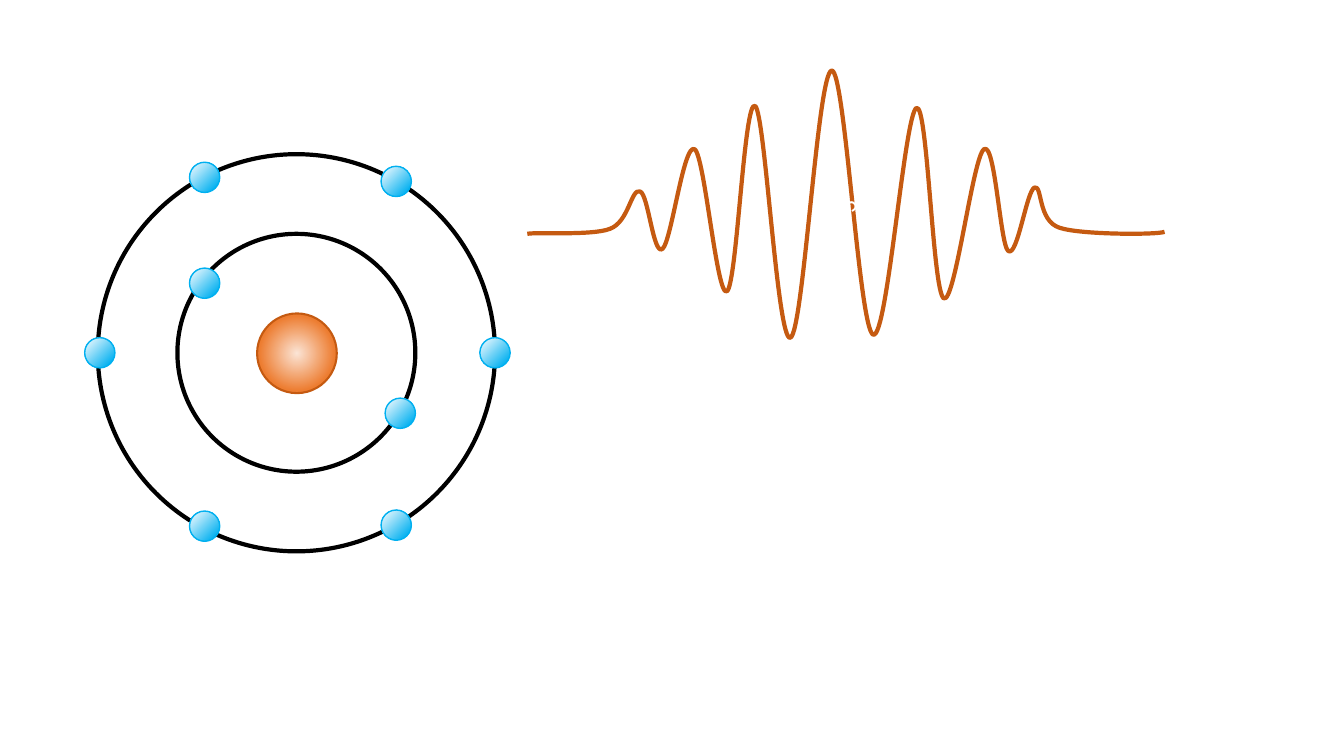
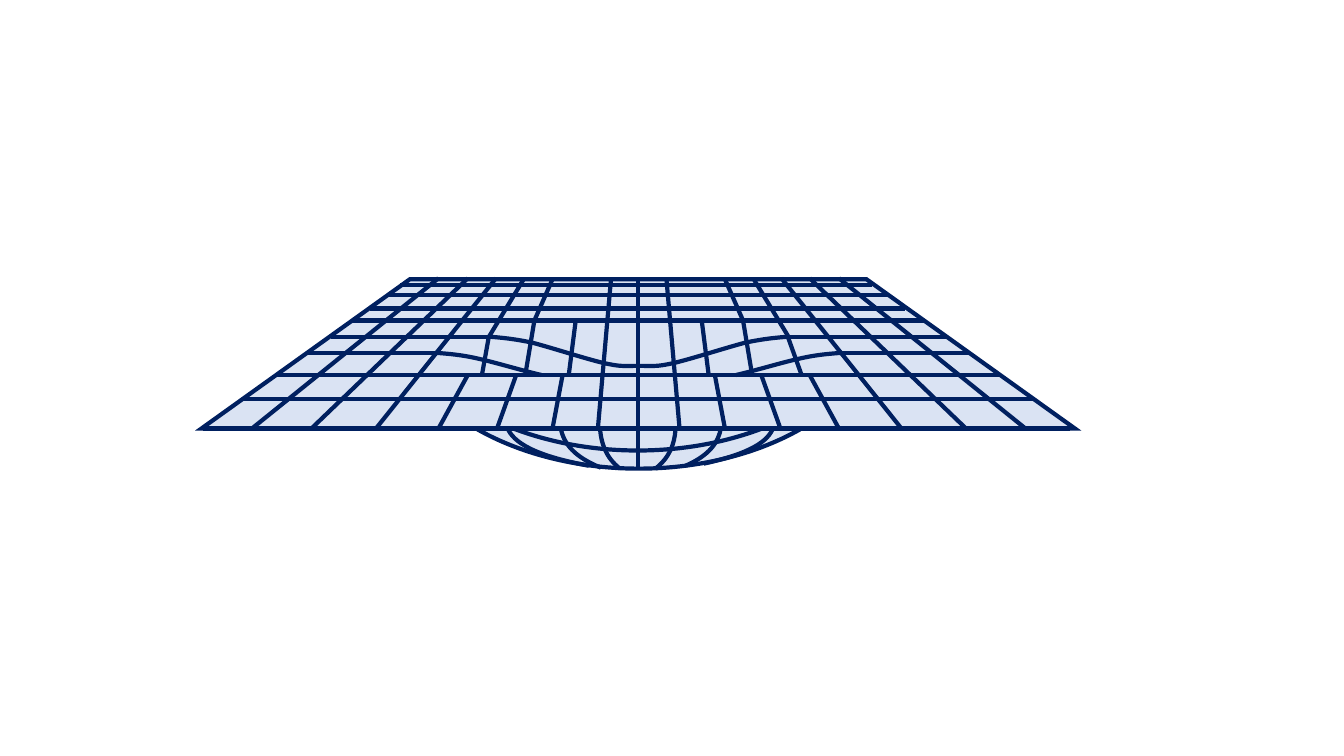
from lxml.etree import SubElement
from pptx import Presentation
from pptx.dml.color import RGBColor
from pptx.enum.shapes import MSO_CONNECTOR, MSO_SHAPE
from pptx.enum.text import MSO_ANCHOR, PP_ALIGN
from pptx.oxml.ns import qn
from pptx.util import Inches, Pt

BLACK, WHITE, ORANGE = "000000", "FFFFFF", "C55A11"
NAVY, PALE_BLUE, SKY_BLUE = "002060", "DAE3F3", "00B0F0"
MIRROR_SUM = 12.67  # x of a point plus x of its mirror image in the mesh


def outline(shape, color, width=3):
    """Set the line of a shape or connector and switch its shadow off."""
    shape.line.color.rgb = RGBColor.from_string(color)
    shape.line.width = Pt(width)
    SubElement(shape.element.spPr, qn("a:effectLst"))


def add_curve(shapes, points, color):
    """Draw a cubic Bezier chain: a start, then three points per segment."""
    points = [(Inches(x), Inches(y)) for x, y in points]
    builder = shapes.build_freeform(*points[0])
    builder.add_line_segments(points[1:], close=False)
    curve = builder.convert_to_shape()
    corners = curve.element.xpath(".//a:lnTo")
    for first in range(0, len(corners), 3):
        segment = SubElement(corners[first].getparent(), qn("a:cubicBezTo"))
        for corner in corners[first:first + 3]:
            segment.append(corner[0])
            corner.getparent().remove(corner)
    curve.fill.background()
    outline(curve, color)
    return curve


presentation = Presentation()
presentation.slide_width = Inches(13.33)
presentation.slide_height = Inches(7.5)
blank_layout = presentation.slide_layouts[6]

# Slide 1: atom and wave packet
slide = presentation.slides.add_slide(blank_layout)
atom = slide.shapes.add_group_shape().shapes
center_x, center_y = 2.94, 3.5
for diameter in (3.94, 2.36):
    orbit = atom.add_shape(
        MSO_SHAPE.OVAL, Inches(center_x - diameter / 2), Inches(center_y - diameter / 2),
        Inches(diameter), Inches(diameter))
    orbit.fill.background()
    outline(orbit, BLACK)

nucleus = (2.55, 3.11, 0.79, ("FBE5D6", "ED7D31"), 0.67, ORANGE, 1.5, (50, 50, 50, 50))
electron_corners = [(1.88, 2.66), (3.82, 3.95), (3.78, 1.65), (0.84, 3.35),
                    (4.76, 3.35), (3.78, 5.06), (1.88, 5.07), (1.88, 1.61)]
electrons = [(left, top, 0.3, (WHITE, SKY_BLUE), 0.87, SKY_BLUE, 1, (0, 0, 100, 100))
             for left, top in electron_corners]
for left, top, size, colors, end, line_color, width, focus in [nucleus, *electrons]:
    particle = atom.add_shape(
        MSO_SHAPE.OVAL, Inches(left), Inches(top), Inches(size), Inches(size))
    outline(particle, line_color, width)
    particle.fill.gradient()
    for stop, color, position in zip(particle.fill.gradient_stops, colors, (0, end)):
        stop.color.rgb = RGBColor.from_string(color)
        stop.position = position
    gradient = particle.element.spPr.find(qn("a:gradFill"))
    gradient.remove(gradient.find(qn("a:lin")))
    radial = SubElement(gradient, qn("a:path"), {"path": "circle"})
    SubElement(radial, qn("a:fillToRect"),
               {side: str(percent * 1000) for side, percent in zip("ltrb", focus)})

wave = add_curve(slide.shapes, [
    (5.23, 2.32),
    (5.31, 2.3), (5.87, 2.34), (6.05, 2.27),
    (6.24, 2.2), (6.26, 1.86), (6.35, 1.9),
    (6.43, 1.93), (6.48, 2.54), (6.57, 2.47),
    (6.66, 2.4), (6.78, 1.41), (6.89, 1.48),
    (6.99, 1.55), (7.11, 2.96), (7.21, 2.89),
    (7.31, 2.82), (7.38, 0.97), (7.49, 1.05),
    (7.59, 1.13), (7.71, 3.41), (7.84, 3.35),
    (7.97, 3.29), (8.11, 0.7), (8.25, 0.7),
    (8.38, 0.69), (8.52, 3.26), (8.66, 3.32),
    (8.8, 3.38), (8.97, 1.13), (9.09, 1.07),
    (9.2, 1.01), (9.25, 2.89), (9.36, 2.96),
    (9.47, 3.03), (9.65, 1.55), (9.76, 1.48),
    (9.87, 1.4), (9.92, 2.43), (10, 2.49),
    (10.09, 2.56), (10.18, 1.9), (10.26, 1.86),
    (10.34, 1.83), (10.29, 2.19), (10.51, 2.26),
    (10.72, 2.33), (11.48, 2.33), (11.55, 2.3),
], ORANGE)
text_frame = wave.text_frame
text_frame.text = "3"
text_frame.vertical_anchor = MSO_ANCHOR.MIDDLE
wave.element.txBody.bodyPr.set("vert", "vert270")
paragraph = text_frame.paragraphs[0]
paragraph.alignment = PP_ALIGN.CENTER
paragraph.font.name = "Calibri"
paragraph.font.size = Pt(18)
paragraph.font.color.rgb = RGBColor.from_string(WHITE)

# Slide 2: mesh sagging in the middle
slide = presentation.slides.add_slide(blank_layout)
mesh = slide.shapes.add_group_shape().shapes
sheet_and_bowl = [
    (MSO_SHAPE.TRAPEZOID, (2, 2.77, 8.66, 1.48), (1.396,), PALE_BLUE),
    (MSO_SHAPE.ARC, (3.89, 1.45, 4.89, 3.2), (22.264, 85.972), PALE_BLUE),
    (MSO_SHAPE.ARC, (3.88, 1.27, 4.89, 3.2), (28.906, 79.31), None),
]
for kind, box, adjustments, fill_color in sheet_and_bowl:
    surface = mesh.add_shape(kind, *[Inches(length) for length in box])
    for index, value in enumerate(adjustments):
        surface.adjustments[index] = value
    outline(surface, NAVY)
    SubElement(surface.element.spPr.find(qn("a:ln")), qn("a:miter"), {"lim": "800000"})
    if fill_color:
        surface.fill.solid()
        surface.fill.fore_color.rgb = RGBColor.from_string(fill_color)
    else:
        surface.fill.background()

rows = [(2.83, 3.97, 8.65), (2.93, 3.85, 8.81), (3.06, 3.67, 8.98), (3.18, 3.49, 9.16),
        (3.72, 2.74, 9.91), (3.96, 2.41, 10.25), (4.25, 2.01, 10.61)]
right_half = [
    (7.82, 3.34, 9.39, 3.34), (8.35, 3.5, 9.62, 3.5),
    (6.61, 2.77, 6.74, 4.25), (6.96, 3.18, 7.03, 3.73), (7.09, 3.72, 7.19, 4.25),
    (7.19, 2.77, 7.37, 3.18), (7.37, 3.18, 7.46, 3.72), (7.55, 3.72, 7.74, 4.25),
    (7.47, 2.76, 7.82, 3.34), (8.03, 3.72, 8.32, 4.25), (7.75, 2.76, 8.94, 4.25),
    (8.03, 2.76, 9.58, 4.25), (8.32, 2.76, 10.17, 4.25),
]
unpaired = [(6.33, 2.77, 6.33, 4.66), (7.81, 3.33, 7.95, 3.72), (4.85, 3.33, 4.78, 3.72)]
left_half = [(MIRROR_SUM - x1, y1, MIRROR_SUM - x2, y2) for x1, y1, x2, y2 in right_half]
row_lines = [(left, y, right, y) for y, left, right in rows]
for ends in row_lines + right_half + left_half + unpaired:
    mesh_line = mesh.add_connector(
        MSO_CONNECTOR.STRAIGHT, *[Inches(length) for length in ends])
    outline(mesh_line, NAVY)

bowl_ribs = [
    [(6.7, 4.26), (6.69, 4.41), (6.64, 4.54), (6.5, 4.65)],
    [(5.95, 4.23), (5.96, 4.4), (6.01, 4.54), (6.15, 4.65)],
    [(7.15, 4.24), (7.13, 4.39), (7.03, 4.52), (6.8, 4.62)],
    [(5.56, 4.24), (5.59, 4.4), (5.69, 4.53), (5.96, 4.64)],
    [(7.67, 4.24), (7.62, 4.38), (7.44, 4.5), (6.98, 4.6)],
    [(5.03, 4.24), (5.09, 4.39), (5.3, 4.52), (5.84, 4.62)],
]
right_dips = [
    [(7.82, 3.34), (7.7, 3.35), (7.58, 3.36), (7.39, 3.4), (7.2, 3.45),
     (6.86, 3.56), (6.69, 3.6), (6.51, 3.64), (6.5, 3.63), (6.33, 3.63)],
    [(8.35, 3.5), (8.22, 3.51), (8.09, 3.52), (7.92, 3.56),
     (7.74, 3.6), (7.48, 3.68), (7.3, 3.72)],
]
left_dips = [[(MIRROR_SUM - x, y) for x, y in dip] for dip in right_dips]
for points in bowl_ribs + right_dips + left_dips:
    add_curve(mesh, points, NAVY)

presentation.save("out.pptx")
